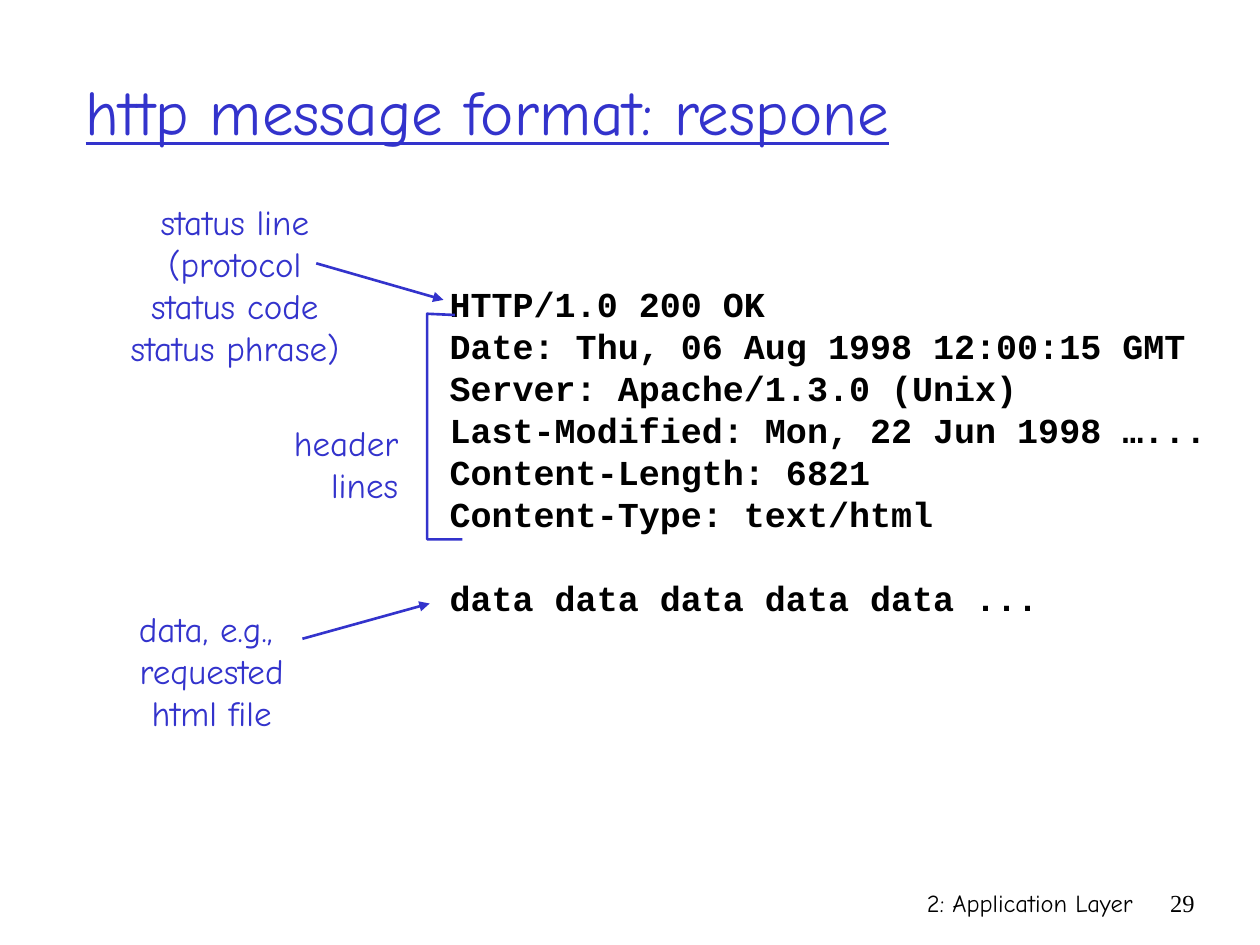
"""Builds a slide on the format of an HTTP response message."""
from pptx import Presentation
from pptx.dml.color import RGBColor
from pptx.enum.shapes import MSO_CONNECTOR as Link
from pptx.enum.text import MSO_ANCHOR as Anchor, MSO_AUTO_SIZE as Fit, PP_ALIGN as Align
from pptx.oxml.ns import qn
from pptx.util import Inches, Pt
from lxml.etree import SubElement

BLUE = RGBColor(0x33, 0x33, 0xCC)
BLACK = RGBColor(0, 0, 0)
COMIC, MONO, SERIF = "Comic Neue", "Courier New", "Times New Roman"

TITLE = "http message format: respone"
HEAD = [
    "HTTP/1.0 200 OK",
    "Date: Thu, 06 Aug 1998 12:00:15 GMT",
    "Server: Apache/1.3.0 (Unix)",
    "Last-Modified: Mon, 22 Jun 1998 …...",
    "Content-Length: 6821",
    "Content-Type: text/html",
]
DATA = "data data data data data ..."
LABELS = [
    (["status line", "(protocol", "status code", "status phrase)"],
     (0.93, 1.54, 1.87, 1.44), Align.CENTER),
    (["header", "lines"], (2.23, 3.3, 1.03, 0.77), Align.RIGHT),
    (["data, e.g., ", "requested", "html file"],
     (1, 4.77, 1.36, 1.1), Align.CENTER),
]
FOOT = [
    ("2: Application Layer", (5.92, 7, 3.17, 0.5), COMIC),
    ("29", (9.08, 7, 0.5, 0.5), SERIF),
]
ARROWS = [((2.51, 2.09), (3.52, 2.38)), ((2.4, 5.07), (3.41, 4.79))]
BRACKET = [(3.61, 2.5), (3.39, 2.49), (3.39, 4.28), (3.67, 4.28)]


def write(shape, lines, size=20, face=COMIC, color=BLUE, align=Align.LEFT,
          bold=False, under=False, wrap=True, anchor=Anchor.TOP):
    frame = shape.text_frame
    frame.text = "\n".join(lines)
    frame.auto_size = Fit.NONE
    frame.word_wrap = wrap
    frame.vertical_anchor = anchor
    for para in frame.paragraphs:
        para.alignment = align
        para.line_spacing = Pt(size * 1.2)
        font = para.runs[0].font
        font.name, font.size = face, Pt(size)
        font.bold, font.underline = bold, under
        font.color.rgb = color
    return frame


def place(shape, box):
    shape.left, shape.top, shape.width, shape.height = map(Inches, box)
    return shape


def add_box(slide, box):
    return slide.shapes.add_textbox(*map(Inches, box))


def stroke(shape):
    shape.line.color.rgb = BLUE
    shape.line.width = Pt(1.5)


def add_arrow(slide, start, end):
    arrow = slide.shapes.add_connector(Link.STRAIGHT, *map(Inches, start + end))
    stroke(arrow)
    SubElement(arrow.line._get_or_add_ln(), qn("a:tailEnd"), type="triangle")
    SubElement(arrow._element.spPr, qn("a:effectLst"))


def add_brace(slide, points):
    first, *rest = [tuple(map(Inches, point)) for point in points]
    build = slide.shapes.build_freeform(*first)
    build.add_line_segments(rest, close=False)
    brace = build.convert_to_shape()
    brace.shadow.inherit = False
    brace.fill.background()
    stroke(brace)


def main():
    deck = Presentation()
    deck.slide_width, deck.slide_height = Inches(10), Inches(7.5)
    slide = deck.slides.add_slide(deck.slide_layouts[5])

    title = place(slide.shapes.title, (0.58, 0.25, 8.5, 1.25))
    write(title, [TITLE], size=36, under=True, anchor=Anchor.MIDDLE)

    code = add_box(slide, (3.47, 2.19, 6.38, 2.77))
    frame = write(code, HEAD + [DATA], face=MONO, color=BLACK, bold=True)
    frame.paragraphs[-1].space_before = Pt(24)

    for lines, box, align in LABELS:
        write(add_box(slide, box), lines, align=align, wrap=False)
    for text, box, face in FOOT:
        write(add_box(slide, box), [text], size=14, face=face, color=BLACK,
              align=Align.RIGHT)
    for start, end in ARROWS:
        add_arrow(slide, start, end)
    add_brace(slide, BRACKET)
    deck.save("out.pptx")


if __name__ == "__main__":
    main()
